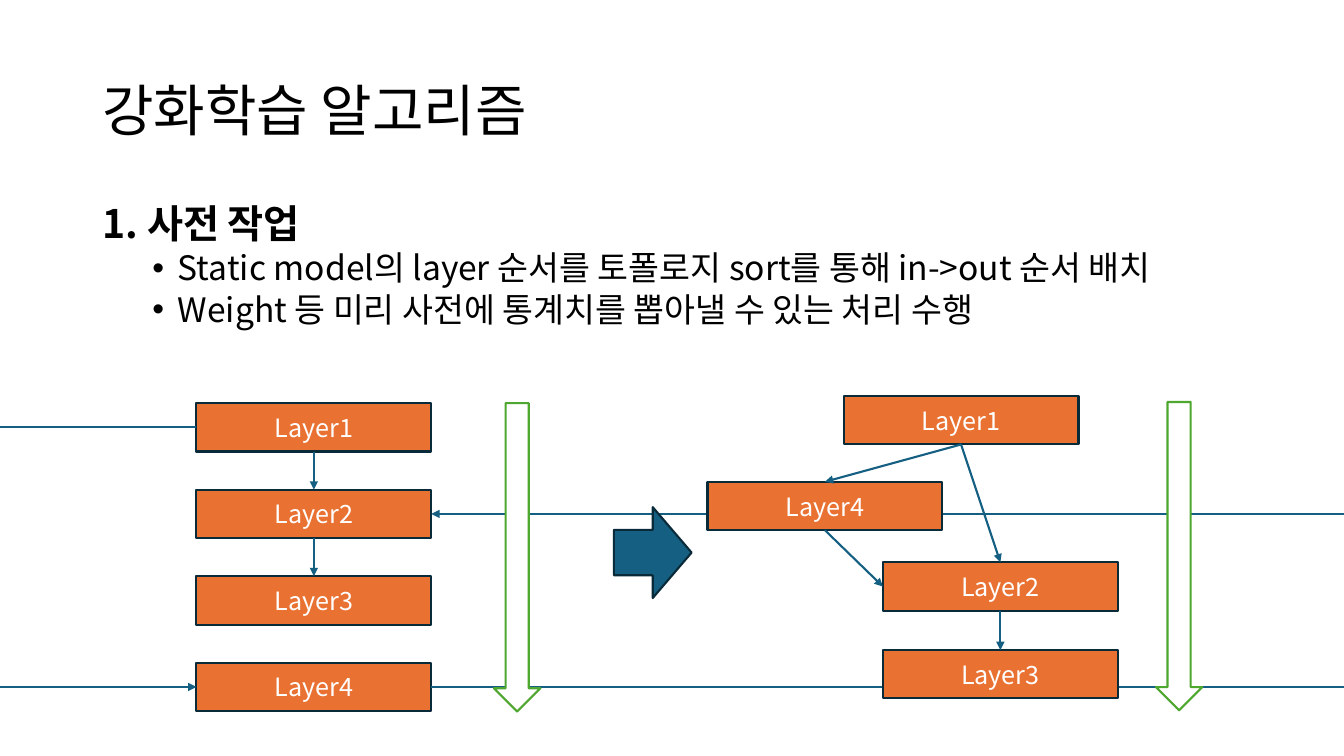
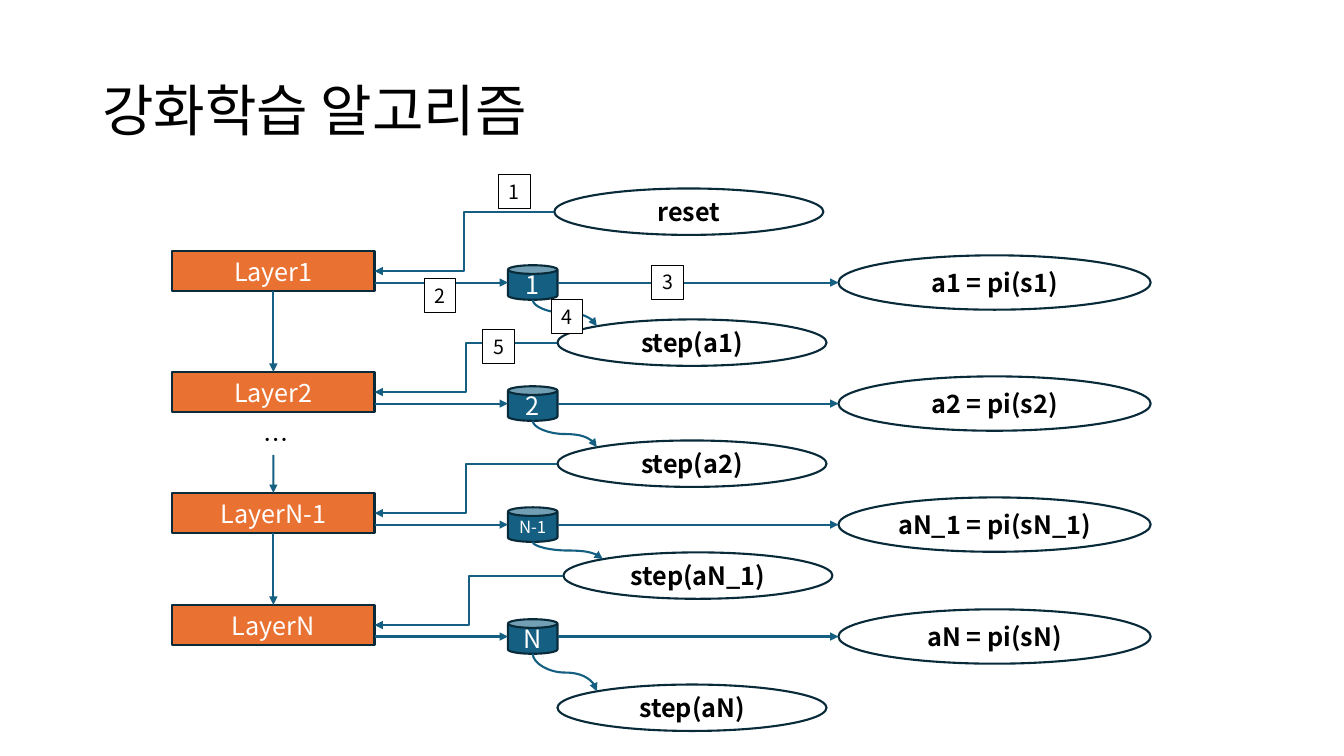
from lxml.etree import SubElement
from pptx import Presentation
from pptx.dml.color import RGBColor
from pptx.enum.shapes import MSO_CONNECTOR, MSO_SHAPE
from pptx.enum.text import MSO_ANCHOR, PP_ALIGN
from pptx.oxml.ns import qn
from pptx.util import Cm, Pt

FONT = "Noto Sans CJK KR"
TITLE = "강화학습 알고리즘"
WIDTH, HEIGHT = 33.87, 19.05
COLORS = {
    "black": "000000",
    "white": "FFFFFF",
    "orange": "E97132",
    "blue": "156082",
    "navy": "092A39",
    "green": "4EA72E",
}


def rgb(name):
    return RGBColor.from_string(COLORS[name])


def add_box(s, kind, x, y, w, h, text="", fill=None, line="navy", weight=1.5,
            size=18, color="black", bold=False, align=PP_ALIGN.CENTER,
            anchor=MSO_ANCHOR.MIDDLE, wrap=True, spacing=None):
    """Add a preset shape, or a text box when kind is None; sizes in cm."""
    if kind is None:
        sp = s.shapes.add_textbox(Cm(x), Cm(y), Cm(w), Cm(h))
    else:
        sp = s.shapes.add_shape(kind, Cm(x), Cm(y), Cm(w), Cm(h))
        sp.shadow.inherit = False
        sp.line.color.rgb = rgb(line)
        sp.line.width = Pt(weight)
        if fill:
            sp.fill.solid()
            sp.fill.fore_color.rgb = rgb(fill)
        else:
            sp.fill.background()
    tf = sp.text_frame
    tf.word_wrap = wrap
    tf.vertical_anchor = anchor
    tf.text = text
    for p in tf.paragraphs:
        p.alignment = align
        p.line_spacing = spacing
        for r in p.runs:
            r.font.name = FONT
            r.font.size = Pt(size)
            r.font.bold = bold
            r.font.color.rgb = rgb(color)
            SubElement(r.font._element, qn("a:ea"), typeface=FONT)
    return sp


def link(s, start, end, kind=MSO_CONNECTOR.STRAIGHT, arrow=True):
    """Connect two ends, each an (x, y) point in cm or a (shape, side) pair."""
    ends = [e if isinstance(e[0], (int, float)) else None for e in (start, end)]
    (x1, y1), (x2, y2) = [e or (0, 0) for e in ends]
    c = s.shapes.add_connector(kind, Cm(x1), Cm(y1), Cm(x2), Cm(y2))
    if ends[0] is None:
        c.begin_connect(*start)
    if ends[1] is None:
        c.end_connect(*end)
    c.line.color.rgb = rgb("blue")
    c.line.width = Pt(1.5)
    spPr = c._element.spPr
    if arrow:
        SubElement(spPr.find(qn("a:ln")), qn("a:tailEnd"), type="triangle")
    SubElement(spPr, qn("a:effectLst"))
    return c


TOP, LEFT, BOTTOM, RIGHT = range(4)
LAYER = {"fill": "orange", "color": "white"}

prs = Presentation()
prs.slide_width, prs.slide_height = Cm(WIDTH), Cm(HEIGHT)
slides = []
for _ in range(2):
    s = prs.slides.add_slide(prs.slide_layouts[6])
    add_box(s, None, 2.33, 1.02, 29.21, 3.68, TITLE, size=40,
            align=PP_ALIGN.LEFT, spacing=0.9)
    slides.append(s)

# Slide 1: layers before and after the topological sort
s = slides[0]
body = add_box(
    s, None, 2.33, 5.08, 29.21, 4.6,
    "1. 사전 작업\n"
    "Static model의 layer 순서를 토폴로지 sort를 통해 in->out 순서 배치\n"
    "Weight 등 미리 사전에 통계치를 뽑아낼 수 있는 처리 수행",
    size=24, align=PP_ALIGN.LEFT, anchor=MSO_ANCHOR.TOP, spacing=0.85)
heading, *bullets = body.text_frame.paragraphs
heading.space_before = Pt(10)
heading.runs[0].font.size = Pt(28)
heading.runs[0].font.bold = True
for p in bullets:
    p.space_before = Pt(5)
    pPr = p._p.get_or_add_pPr()
    pPr.set("marL", str(Cm(1.9)))
    pPr.set("indent", str(Cm(-0.64)))
    SubElement(pPr, qn("a:buFont"), typeface="Arial")
    SubElement(pPr, qn("a:buChar"), char="•")

LAYER_W, LAYER_H = 5.92, 1.22
LAYER_Y, LAYER_STEP = 10.16, 2.18
before = [add_box(s, MSO_SHAPE.RECTANGLE, 4.95, LAYER_Y + i * LAYER_STEP,
                  LAYER_W, LAYER_H, f"Layer{i + 1}", **LAYER) for i in range(4)]
mid_y = [LAYER_Y + i * LAYER_STEP + LAYER_H / 2 for i in range(4)]
for upper, lower in zip(before[:2], before[1:3]):
    link(s, (upper, BOTTOM), (lower, TOP))
link(s, (before[0], LEFT), (0, mid_y[0]), arrow=False)
link(s, (0, mid_y[3]), (before[3], LEFT))
link(s, (before[3], RIGHT), (WIDTH, mid_y[3]), arrow=False)
link(s, (WIDTH, mid_y[1]), (before[1], RIGHT))

after = {}
for n, x, y in [(1, 21.26, 9.98), (2, 22.25, 14.17), (3, 22.25, 16.38),
                (4, 17.83, 12.14)]:
    after[n] = add_box(s, MSO_SHAPE.RECTANGLE, x, y, LAYER_W, LAYER_H,
                       f"Layer{n}", **LAYER)
for a, b, side in [(1, 2, TOP), (2, 3, TOP), (1, 4, TOP), (4, 2, LEFT)]:
    link(s, (after[a], BOTTOM), (after[b], side))

for x, y in [(12.45, 10.16), (29.13, 10.13)]:
    add_box(s, MSO_SHAPE.DOWN_ARROW, x, y, 1.17, 7.77, fill="white", line="green")
add_box(s, MSO_SHAPE.RIGHT_ARROW, 15.47, 12.78, 1.96, 2.29, fill="blue")

# Slide 2: each layer takes a call, yields a state, and the state gives an action
s = slides[1]
CALL_W, CALL_H = 6.78, 1.17
LAYER_X, LAYER_W, LAYER_H = 4.34, 5.1, 1.02
CAN_X, CAN_W, CAN_H = 12.8, 1.25, 0.87
ACTION_X, ACTION_W, ACTION_H = 21.13, 7.87, 1.37
STATE_DY = 0.8
calls = [("reset", 13.97, 4.75), ("step(a1)", 14.05, 8.05), ("step(a2)", 14.05, 11.1),
         ("step(aN_1)", 14.2, 13.92), ("step(aN)", 14.05, 17.25)]
rows = [("1", 6.32, "a1 = pi(s1)"), ("2", 9.37, "a2 = pi(s2)"),
        ("N-1", 12.42, "aN_1 = pi(sN_1)"), ("N", 15.24, "aN = pi(sN)")]

for text, x, y in calls:
    add_box(s, MSO_SHAPE.OVAL, x, y, CALL_W, CALL_H, text, bold=True)

layers = []
for i, (name, y, action) in enumerate(rows):
    layers.append(add_box(s, MSO_SHAPE.RECTANGLE, LAYER_X, y, LAYER_W, LAYER_H,
                          f"Layer{name}", **LAYER))
    state_y = y + STATE_DY
    add_box(s, MSO_SHAPE.CAN, CAN_X, state_y - CAN_H / 2, CAN_W, CAN_H, name,
            fill="blue", color="white", size=12 if len(name) > 1 else 18)
    add_box(s, MSO_SHAPE.OVAL, ACTION_X, state_y - ACTION_H / 2, ACTION_W, ACTION_H,
            action, bold=True)

    _, call_x, call_y = calls[i]
    link(s, (call_x, call_y + CALL_H / 2), (LAYER_X + LAYER_W, y + LAYER_H / 2),
         MSO_CONNECTOR.ELBOW)
    link(s, (LAYER_X + LAYER_W, state_y), (CAN_X, state_y))
    link(s, (CAN_X + CAN_W, state_y), (ACTION_X, state_y))

    # The curve leaves downwards, so it is laid out sideways and turned by 270°
    _, next_x, next_y = calls[i + 1]
    x1, y1 = CAN_X + CAN_W / 2, state_y + CAN_H / 2
    x2, y2 = next_x + 0.99, next_y + 0.17
    cx, cy, dx, dy = (x1 + x2) / 2, (y1 + y2) / 2, (x2 - x1) / 2, (y2 - y1) / 2
    curve = link(s, (cx + dy, cy - dx), (cx - dy, cy + dx), MSO_CONNECTOR.CURVE)
    curve._element.spPr.find(qn("a:xfrm")).set("rot", str(270 * 60000))

link(s, (layers[0], BOTTOM), (layers[1], TOP))
link(s, (LAYER_X + LAYER_W / 2, 11.46), (layers[2], TOP))
link(s, (layers[2], BOTTOM), (layers[3], TOP))
add_box(s, None, 6.4, 10.57, 0.99, 1.02, "…", wrap=False)

for n, (x, y) in enumerate([(12.57, 4.39), (10.69, 7.01), (16.43, 6.68),
                            (13.89, 7.54), (12.17, 8.31)], 1):
    add_box(s, MSO_SHAPE.RECTANGLE, x, y, 0.79, 0.86, str(n), fill="white",
            line="black", weight=0.75, size=14, wrap=False)

prs.save("out.pptx")
